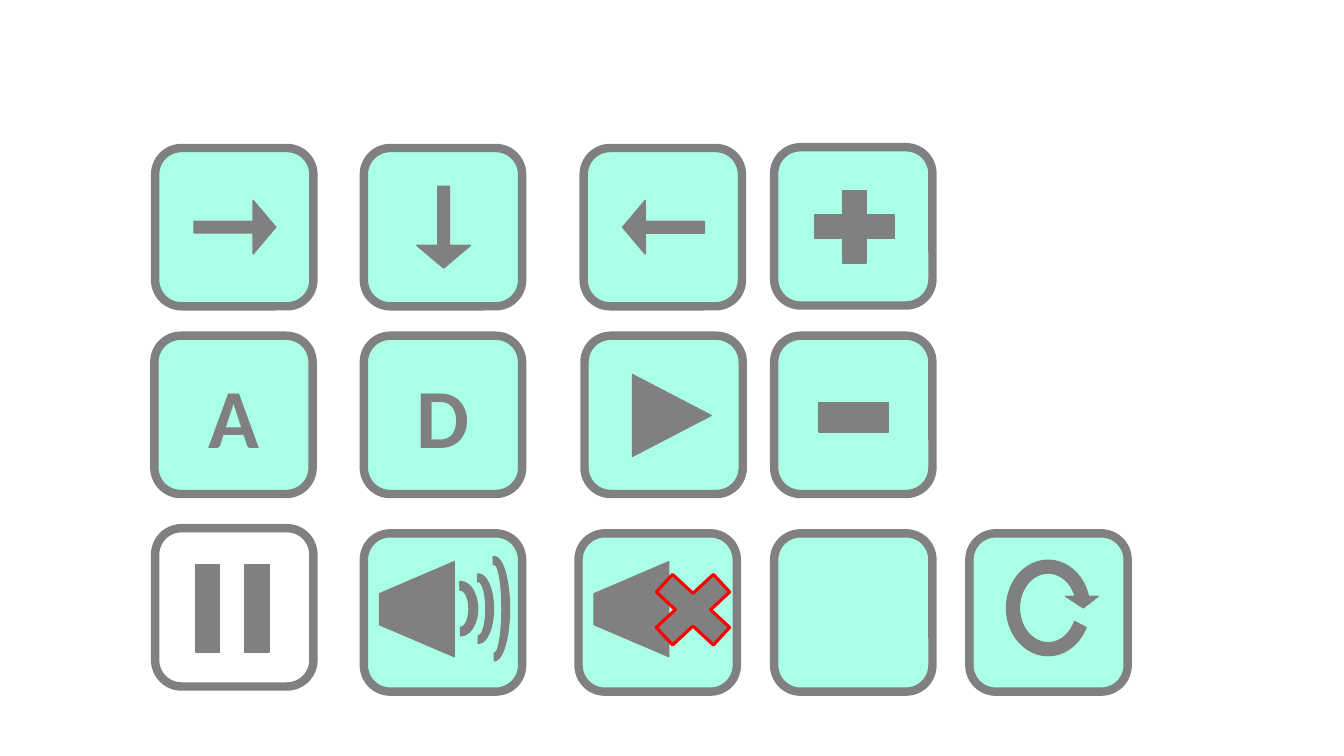
"""Build a slide with a grid of game control buttons."""
import pptx
import pptx.dml.color
import pptx.enum.shapes
import pptx.enum.text
import pptx.util
from dataclasses import dataclass

Cm = pptx.util.Cm
Pt = pptx.util.Pt
Shape = pptx.enum.shapes.MSO_SHAPE


@dataclass(frozen=True)
class Theme:
    mint: str = "AAFFE7"
    white: str = "FFFFFF"
    gray: str = "808080"
    red: str = "FF0000"
    font: str = "Calibri"
    letter_size: int = 60
    button_line: float = 6
    symbol_line: float = 1
    cross_line: float = 2.25


theme = Theme()


def add_figure(shapes, kind, box, fill, line, line_width):
    """Add a filled and outlined preset shape, with its box in centimetres."""
    shape = shapes.add_shape(kind, *[Cm(length) for length in box])
    shape.shadow.inherit = False
    shape.fill.solid()
    shape.fill.fore_color.rgb = pptx.dml.color.RGBColor.from_string(fill)
    shape.line.color.rgb = pptx.dml.color.RGBColor.from_string(line)
    shape.line.width = Pt(line_width)
    return shape


presentation = pptx.Presentation()
presentation.slide_width = Cm(33.87)
presentation.slide_height = Cm(19.05)
slide = presentation.slides.add_slide(presentation.slide_layouts[6])

button_size = 3.99
arrow_box = (0.98, 1.32, 2.06, 1.35)
arrow_adjustments = (0.219, 0.422)
arc_adjustments = (107.151, 0, 0.25)
speaker = (Shape.TRAPEZOID, (0.14, 0.97, 2.39, 1.88), 270, (0.428,))

symbols = {
    "right": [(Shape.RIGHT_ARROW, arrow_box, 0, arrow_adjustments)],
    "down": [(Shape.RIGHT_ARROW, arrow_box, 90, arrow_adjustments)],
    "left": [(Shape.RIGHT_ARROW, arrow_box, 180, arrow_adjustments)],
    "plus": [(Shape.MATH_PLUS, (0.66, 0.76, 2.72, 2.49), 0, ())],
    "minus": [(Shape.MATH_MINUS, (0.81, 0.46, 2.39, 3.18), 0, ())],
    "play": [(Shape.ISOSCELES_TRIANGLE, (1.17, 1.02, 2.06, 1.98), 90, ())],
    "pause": [(Shape.RECTANGLE, (left, 0.91, 0.61, 2.21), 0, ()) for left in (1.02, 2.26)],
    "sound": [speaker] + [
        (Shape.BLOCK_ARC, box, 90, arc_adjustments)
        for box in ((1.75, 1.47, 1.37, 0.86), (2.01, 1.52, 1.75, 0.76), (1.98, 1.52, 2.62, 0.76))
    ],
    "mute": [speaker, (Shape.MATH_MULTIPLY, (1.5, 0.64, 2.77, 2.57), 0, ())],
    "restart": [(Shape.CIRCULAR_ARROW, (0.69, 0.43, 2.59, 2.9), 0,
                 (0.125, 11.423, 204.577, 16.341, 0.158))],
}

buttons = [
    ("right", 3.91, 3.73), ("down", 9.17, 3.73), ("left", 14.71, 3.73), ("plus", 19.51, 3.71),
    ("A", 3.89, 8.46), ("D", 9.17, 8.46), ("play", 14.73, 8.46), ("minus", 19.51, 8.46),
    ("pause", 3.91, 13.31), ("sound", 9.17, 13.44), ("mute", 14.58, 13.44),
    ("", 19.51, 13.44), ("restart", 24.43, 13.44),
]

for name, button_left, button_top in buttons:
    parts = symbols.get(name, [])
    shapes = slide.shapes.add_group_shape().shapes if parts else slide.shapes
    button = add_figure(
        shapes, Shape.ROUNDED_RECTANGLE, (button_left, button_top, button_size, button_size),
        theme.white if name == "pause" else theme.mint, theme.gray, theme.button_line)

    for kind, (left, top, width, height), rotation, adjustments in parts:
        is_cross = kind == Shape.MATH_MULTIPLY
        symbol = add_figure(
            shapes, kind, (button_left + left, button_top + top, width, height), theme.gray,
            theme.red if is_cross else theme.gray,
            theme.cross_line if is_cross else theme.symbol_line)
        symbol.rotation = rotation
        for index, value in enumerate(adjustments):
            symbol.adjustments[index] = value

    if name and not parts:
        button.text_frame.text = name
        button.text_frame.vertical_anchor = pptx.enum.text.MSO_ANCHOR.MIDDLE
        paragraph = button.text_frame.paragraphs[0]
        paragraph.alignment = pptx.enum.text.PP_ALIGN.CENTER
        paragraph.font.name = theme.font
        paragraph.font.size = Pt(theme.letter_size)
        paragraph.font.bold = True
        paragraph.font.color.rgb = pptx.dml.color.RGBColor.from_string(theme.gray)

presentation.save("out.pptx")
